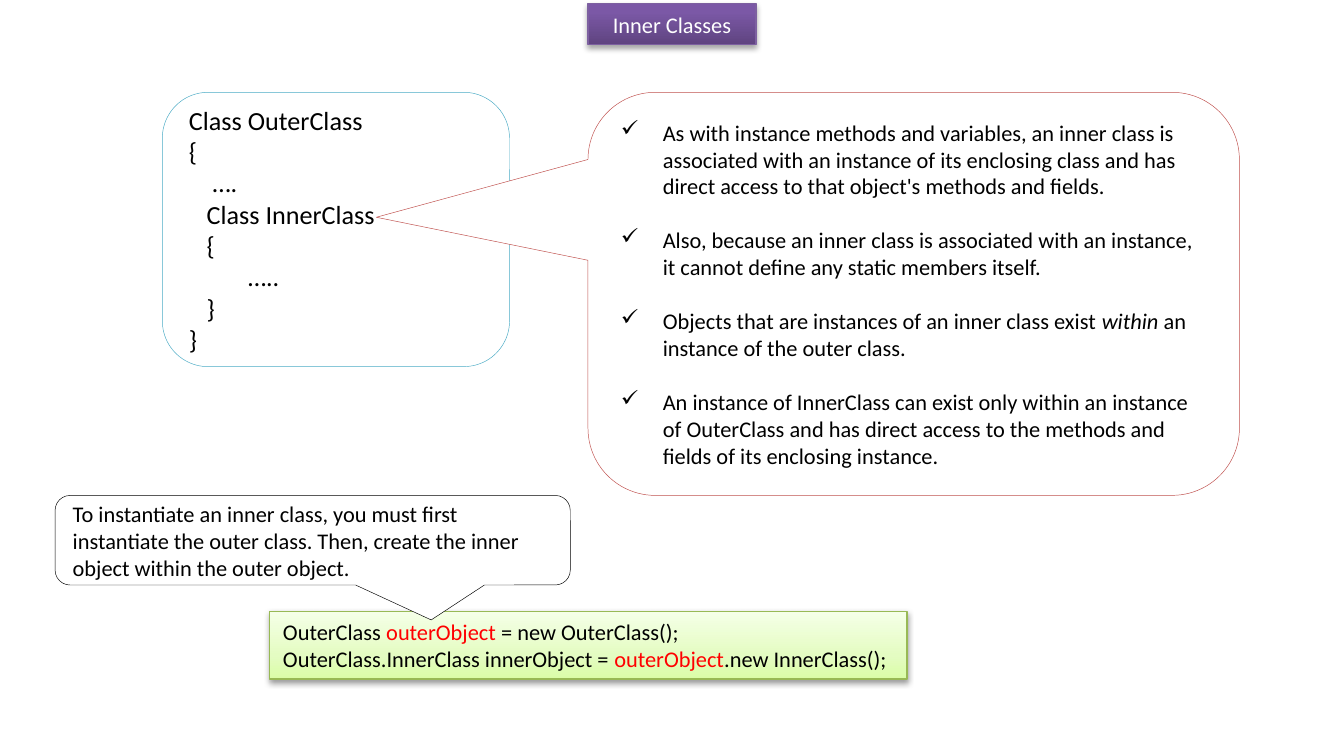
from dataclasses import dataclass

from lxml import etree
from pptx import Presentation
from pptx.dml.color import RGBColor
from pptx.enum.shapes import MSO_SHAPE
from pptx.enum.text import MSO_ANCHOR, PP_ALIGN
from pptx.oxml import parse_xml
from pptx.oxml.ns import nsdecls, qn
from pptx.util import Pt

RECTANGLE = MSO_SHAPE.RECTANGLE
ROUNDED = MSO_SHAPE.ROUNDED_RECTANGLE
CALLOUT = MSO_SHAPE.ROUNDED_RECTANGULAR_CALLOUT
LEFT, CENTER = PP_ALIGN.LEFT, PP_ALIGN.CENTER
MIDDLE = MSO_ANCHOR.MIDDLE


@dataclass(frozen=True)
class Theme:
    font: str = "Calibri"
    body: float = 12
    code: float = 14
    black: str = "000000"
    white: str = "FFFFFF"
    highlight: str = "FF0000"
    teal: str = "4BACC6"
    red: str = "C0504D"
    purple: str = "7D60A0"
    green: str = "98B955"
    purple_blend: tuple = ((0, "5F4480"), (80, "7B58A6"), (100, "7C57A8"))
    green_blend: tuple = ((0, "DAFDA7"), (35, "E4FCC2"), (100, "F5FFE7"))


theme = Theme()


def add_box(kind, bounds, line, paragraphs, size=theme.body, color=theme.black,
            align=LEFT, line_width=0.25):
    """Add a white outlined shape; each paragraph is a list of (text, style)."""
    box = page.shapes.add_shape(kind, *[Pt(length) for length in bounds])
    box.shadow.inherit = False
    box.fill.solid()
    box.fill.fore_color.rgb = RGBColor.from_string(theme.white)
    box.line.color.rgb = RGBColor.from_string(line)
    box.line.width = Pt(line_width)
    frame = box.text_frame
    frame.word_wrap = True
    frame.vertical_anchor = MIDDLE
    for index, spans in enumerate(paragraphs):
        para = frame.add_paragraph() if index else frame.paragraphs[0]
        para.alignment = align
        para.font.name = theme.font
        para.font.size = Pt(size)
        para.font.color.rgb = RGBColor.from_string(color)
        for text, style in spans:
            span = para.add_run()
            span.text = text
            if style == "italic":
                span.font.italic = True
            elif style == "highlight":
                span.font.color.rgb = RGBColor.from_string(theme.highlight)
    return box


def add_depth(box, blend, opacity, distance):
    """Give a box an upward gradient and a soft shadow below."""
    properties = box._element.spPr
    stops = "".join(
        f'<a:gs pos="{position * 1000}"><a:srgbClr val="{color}"/></a:gs>'
        for position, color in blend)
    properties.replace(properties.find(qn("a:solidFill")), parse_xml(
        f'<a:gradFill rotWithShape="1" {nsdecls("a")}><a:gsLst>{stops}</a:gsLst>'
        '<a:lin ang="16200000" scaled="0"/></a:gradFill>'))
    shadow = etree.SubElement(
        properties.find(qn("a:effectLst")), qn("a:outerShdw"), blurRad=str(Pt(3.1)),
        dist=str(Pt(distance)), dir="5400000", rotWithShape="0")
    shade = etree.SubElement(shadow, qn("a:srgbClr"), val=theme.black)
    etree.SubElement(shade, qn("a:alpha"), val=str(opacity * 1000))


deck = Presentation()
deck.slide_width, deck.slide_height = Pt(720), Pt(396)
page = deck.slides.add_slide(deck.slide_layouts[6])

# Title
title = add_box(RECTANGLE, (315, 2, 90, 21.8), theme.purple,
                [[("Inner Classes", None)]],
                color=theme.white, align=CENTER, line_width=0.75)
add_depth(title, theme.purple_blend, 35, 1.8)

# Class outline
outline = """Class OuterClass
{
    ….
   Class InnerClass
   {
          …..
   }
}"""
add_box(ROUNDED, (87, 49.5, 186, 147), theme.teal,
        [[(row, None)] for row in outline.split("\n")], size=theme.code)

# Rules of inner classes
rules = [
    [("As with instance methods and variables, an inner class is associated with "
      "an instance of its enclosing class and has direct access to that object's "
      "methods and fields.", None)],
    [("Also, because an inner class is associated with an instance, it cannot "
      "define any static members itself.", None)],
    [("Objects that are instances of an inner class exist ", None),
     ("within", "italic"), (" an instance of the outer class.", None)],
    [("An instance of InnerClass can exist only within an instance of OuterClass "
      "and has direct access to the methods and fields of its enclosing instance.",
      None)],
]
rules_box = add_box(CALLOUT, (315, 49.5, 349, 216), theme.red, rules)
rules_box.adjustments[0], rules_box.adjustments[1] = -0.825, -0.19
for index, para in enumerate(rules_box.text_frame.paragraphs):
    if index:
        para.space_before = Pt(14.5)
    properties = para._p.get_or_add_pPr()
    properties.set("marL", str(Pt(22.5)))
    properties.set("indent", str(Pt(-22.5)))
    bullet = etree.Element(qn("a:buChar"), char="✓")
    properties.find(qn("a:defRPr")).addprevious(bullet)

# Example code
example = add_box(RECTANGLE, (144.5, 327.6, 341.5, 36.4), theme.green, [
    [("OuterClass ", None), ("outerObject", "highlight"),
     (" = new OuterClass();", None)],
    [("OuterClass.InnerClass innerObject = ", None), ("outerObject", "highlight"),
     (".new InnerClass();", None)],
], line_width=0.75)
example.text_frame.word_wrap = False
add_depth(example, theme.green_blend, 38, 1.6)

# Note pointing at the example
note = add_box(CALLOUT, (29.5, 265.5, 276, 48), theme.black, [
    [("To instantiate an inner class, you must first instantiate the outer class. "
      "Then, create the inner object within the outer object.", None)]])
note.adjustments[0], note.adjustments[1] = 0.23, 0.89

deck.save("out.pptx")
